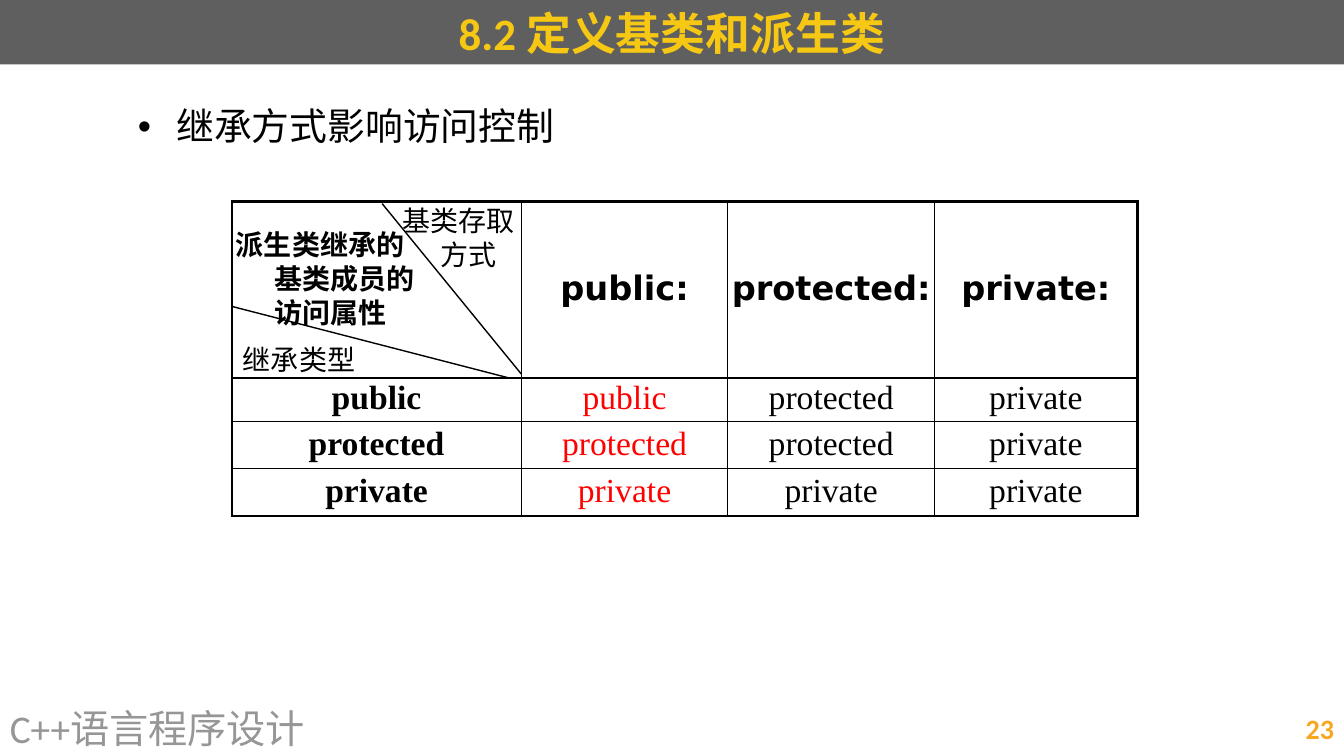
from pptx import Presentation
from pptx.util import Inches, Pt
from pptx.dml.color import RGBColor
from pptx.enum.shapes import MSO_CONNECTOR as Conn
from pptx.enum.text import MSO_ANCHOR as Anchor, PP_ALIGN as Align
from pptx.oxml.ns import qn
from lxml.etree import SubElement as Sub

# Content
TITLE = "8.2 定义基类和派生类"
HEADS = ["", "public:", "protected:", "private:"]
ROWS = [
    ["public", "public", "protected", "private"],
    ["protected", "protected", "protected", "private"],
    ["private", "private", "private", "private"],
]
COLS = [2.87, 2.05, 2.05, 2.01]
HIGHS = [1.75, 0.43, 0.47, 0.47]
LEFT, TOP = 2.3, 2.0
HANG = 0.38
HUES = {"bar": "5F5F5F", "title": "F6C813", "foot": "969696",
        "page": "F8A720", "ink": "000000", "red": "FF0000"}

BASE = {"size": 20, "name": "Karla", "hue": "ink", "bold": False}
HEAD = {"size": 32, "name": "Calibri", "hue": "title", "bold": True}
CELL = {"size": 24, "name": "Times New Roman", "hue": "ink", "bold": False}

# text, (left, top, width, height), font changes
CORNER = [
    ("基类存取方式", (3.99, 2.02, 1.18, 0.67), {}),
    ("继承类型", (2.41, 3.4, 1.34, 0.34), {}),
    ("派生类继承的基类成员的访问属性", (2.34, 2.26, 1.89, 1.01), {"bold": True}),
]
FOOT = [
    ("C++语言程序设计", (0, 6.95, 8.78, 0.55), Align.LEFT,
     {"size": 28, "name": "Calibri", "hue": "foot"}),
    ("23", (9.56, 6.95, 3.77, 0.55), Align.RIGHT,
     {"name": "Calibri", "hue": "page", "bold": True}),
]
POINT = ("继承方式影响访问控制", (1.27, 1.02, 4.37, 0.51),
         {"size": 27, "name": "Calibri"})
SPLITS = [(3.79, 2.02, 5.17, 3.71), (2.3, 3.04, 5.05, 3.75)]


def color(key):
    return RGBColor.from_string(HUES[key])


def write(frame, text, look, align=Align.LEFT):
    para = frame.paragraphs[0]
    para.alignment = align
    run = para.add_run()
    run.text = text
    vals = {**look, "size": Pt(look["size"])}
    run.font.color.rgb = color(vals.pop("hue"))
    for key, val in vals.items():
        setattr(run.font, key, val)
    return para


def trim(item):
    for side in ("left", "right", "top", "bottom"):
        setattr(item, f"margin_{side}", 0)


def hang(para, mark=None):
    props = para._p.get_or_add_pPr()
    props.set("marL", str(Inches(HANG)))
    props.set("indent", str(-Inches(HANG)))
    if mark:
        Sub(props, qn("a:buFont"), typeface="Arial")
        Sub(props, qn("a:buChar"), char=mark)


def box(spot):
    frame = slide.shapes.add_textbox(*map(Inches, spot)).text_frame
    frame.word_wrap = True
    return frame


def edge(cell, tag, width):
    line = Sub(cell._tc.get_or_add_tcPr(), qn(f"a:{tag}"), w=str(Pt(width)))
    fill = Sub(line, qn("a:solidFill"))
    Sub(fill, qn("a:srgbClr"), val=HUES["ink"])


deck = Presentation()
deck.slide_width, deck.slide_height = Inches(13.33), Inches(7.5)
slide = deck.slides.add_slide(deck.slide_layouts[5])

# Title bar
title = slide.shapes.title
title.left, title.top, title.width, title.height = map(Inches, (0, 0, 13.33, 0.64))
title.fill.solid()
title.fill.fore_color.rgb = color("bar")
title.text_frame.vertical_anchor = Anchor.MIDDLE
write(title.text_frame, TITLE, HEAD, Align.CENTER)

# Footer and page number
for text, spot, align, look in FOOT:
    frame = box(spot)
    frame.vertical_anchor = Anchor.MIDDLE
    write(frame, text, {**BASE, **look}, align)

# Access table: heavy outer frame, thin inner lines
grid = [HEADS] + ROWS
table = slide.shapes.add_table(
    len(grid), len(COLS),
    *map(Inches, (LEFT, TOP, sum(COLS), sum(HIGHS)))).table
table.first_row = table.horz_banding = False
for col, wide in zip(table.columns, COLS):
    col.width = Inches(wide)
for row, high in zip(table.rows, HIGHS):
    row.height = Inches(high)
for r, row in enumerate(grid):
    for c, text in enumerate(row):
        cell = table.cell(r, c)
        trim(cell)
        cell.vertical_anchor = Anchor.MIDDLE
        outer = {"lnL": c == 0, "lnR": c == len(COLS) - 1,
                 "lnT": r == 0, "lnB": r == len(grid) - 1}
        for tag, heavy in outer.items():
            edge(cell, tag, 2.25 if heavy else 1)
        cell.fill.background()
        if text:
            look = {**CELL, "bold": r == 0 or c == 0}
            if r == 0:
                look["name"] = "DejaVu Sans"
            elif c == 1:
                look["hue"] = "red"
            para = write(cell.text_frame, text, look, Align.CENTER)
            para.line_spacing = 0.9

# Corner cell: two dividing lines and three labels
for ends in SPLITS:
    line = slide.shapes.add_connector(Conn.STRAIGHT, *map(Inches, ends))
    line.line.color.rgb = color("ink")
    line.line.width = Pt(1)
    Sub(line._element.spPr, qn("a:effectLst"))
for text, spot, look in CORNER:
    frame = box(spot)
    trim(frame)
    hang(write(frame, text, {**BASE, **look}))

# Bullet point
text, spot, look = POINT
frame = box(spot)
hang(frame.paragraphs[0], "•")
write(frame, text, {**BASE, **look}).line_spacing = 0.9

deck.save("out.pptx")
